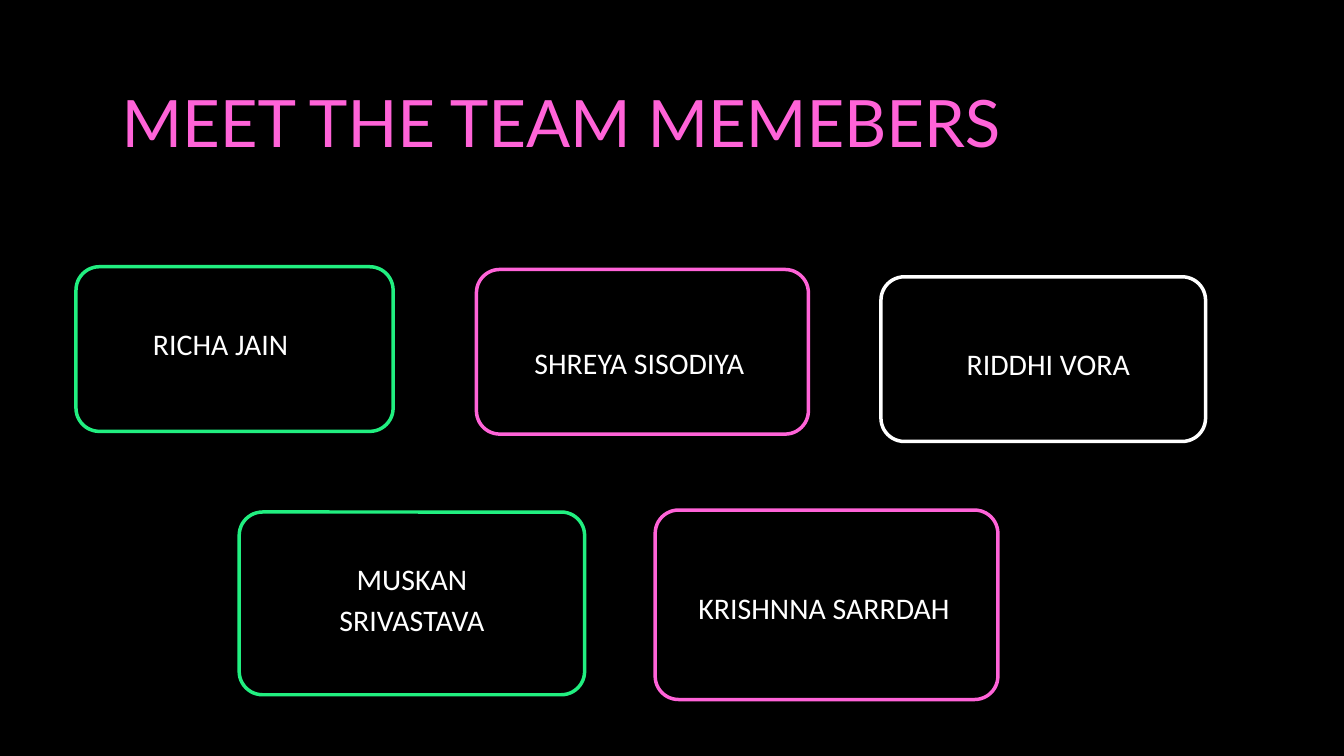
"""Build the team members slide with a title and five name cards."""
from pptx import Presentation
from pptx.dml.color import RGBColor
from pptx.enum import shapes, text
from pptx.util import Pt

BLACK = RGBColor(0x00, 0x00, 0x00)
WHITE = RGBColor(0xFF, 0xFF, 0xFF)
PINK = RGBColor(0xFF, 0x63, 0xD8)
GREEN = RGBColor(0x21, 0xEF, 0x80)

HEADING = "MEET THE TEAM MEMEBERS"
HEADING_AREA = (130.3, 93.6, 1206.7, 85)
CORNER = 25
NAME_INSET = 20.2

MEMBERS = [
    ("RICHA JAIN", GREEN, (81.4, 285.8, 339.8, 176.4), (115.2, 253.4, 242.6, 223.2)),
    ("SHREYA SISODIYA", PINK, (510.5, 288.7, 355.7, 176.4), (517.7, 253.4, 334.8, 262.8)),
    ("RIDDHI VORA", WHITE, (943.9, 296.6, 347.8, 176.4), (943.9, 266.4, 358.6, 239)),
    ("KRISHNNA SARRDAH", PINK, (702, 546.5, 367.2, 203), (715.7, 528.5, 334.8, 239)),
    ("MUSKAN SRIVASTAVA", GREEN, (256.3, 548.6, 370.1, 195.8), (319.7, 527, 243.4, 223.2)),
]


def points(area):
    return [Pt(length) for length in area]


def write(frame, wording, font, size, color, spacing, align, anchor, inset):
    frame.word_wrap = True
    frame.auto_size = text.MSO_AUTO_SIZE.NONE
    frame.vertical_anchor = anchor
    frame.margin_left = frame.margin_right = Pt(inset)
    frame.margin_top = frame.margin_bottom = Pt(inset)
    line = frame.paragraphs[0]
    line.alignment = align
    line.line_spacing = Pt(spacing)
    line.space_before = Pt(0)
    run = line.add_run()
    run.text = wording
    run.font.name = font
    run.font.size = Pt(size)
    run.font.color.rgb = color


def add_member(slide, name, accent, card_area, name_area):
    member = slide.shapes.add_group_shape()
    card = member.shapes.add_shape(
        shapes.MSO_SHAPE.ROUNDED_RECTANGLE, *points(card_area))
    card.adjustments[0] = CORNER / min(card_area[2:])
    card.shadow.inherit = False
    card.fill.solid()
    card.fill.fore_color.rgb = BLACK
    card.line.color.rgb = accent
    card.line.width = Pt(3.75)
    label = member.shapes.add_textbox(*points(name_area))
    write(label.text_frame, name, "Calibri", 32, WHITE, 44.8,
          text.PP_ALIGN.CENTER, text.MSO_ANCHOR.MIDDLE, NAME_INSET)


def main():
    deck = Presentation()
    deck.slide_width, deck.slide_height = Pt(1440), Pt(810)
    slide = deck.slides.add_slide(deck.slide_layouts[5])
    slide.background.fill.solid()
    slide.background.fill.fore_color.rgb = BLACK

    heading = slide.shapes.title
    heading.left, heading.top, heading.width, heading.height = points(HEADING_AREA)
    write(heading.text_frame, HEADING, "Lato", 70, PINK, 78.4,
          text.PP_ALIGN.LEFT, text.MSO_ANCHOR.TOP, 0)

    for member in MEMBERS:
        add_member(slide, *member)
    deck.save("out.pptx")


if __name__ == "__main__":
    main()
